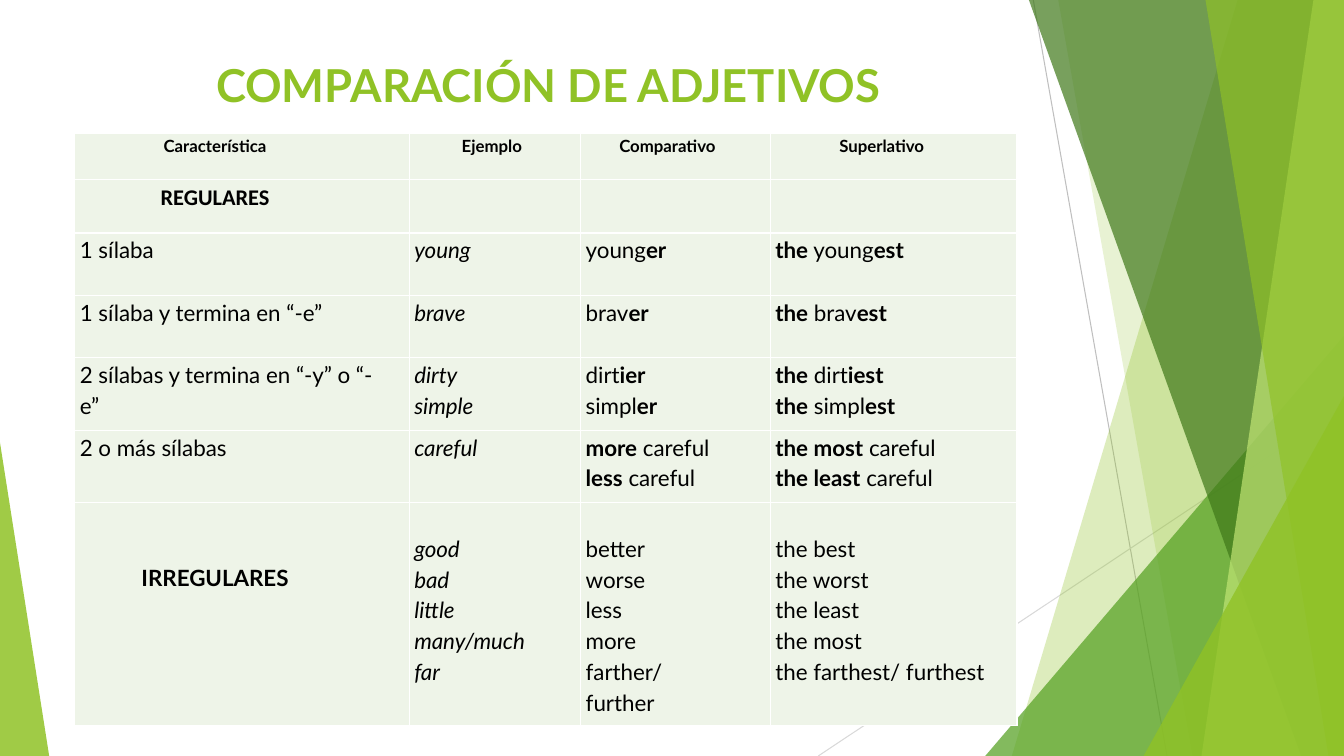
import pptx
import pptx.util
import pptx.dml.color
import pptx.enum.shapes
import pptx.enum.text
import pptx.oxml
import pptx.oxml.ns
from dataclasses import dataclass
from pptx.util import Cm, Pt

TITLE = "COMPARACIÓN DE ADJETIVOS"
# Asterisks enclose bold text; each string in a cell is one paragraph.
ROWS = [
    [["Característica"], ["Ejemplo"], ["Comparativo"], ["Superlativo"]],
    [["REGULARES"], [], [], []],
    [["1 sílaba"], ["young"], ["young*er*"], ["*the* young*est*"]],
    [["1 sílaba y termina en “-e”"], ["brave"], ["brav*er*"], ["*the* brav*est*"]],
    [["2 sílabas y termina en “-y” o “-e”"], ["dirty", "simple"],
     ["dirt*ier*", "simpl*er*"], ["*the* dirt*iest*", "*the* simpl*est*"]],
    [["2 o más sílabas"], ["careful"],
     ["*more* careful", "*less* careful"],
     ["*the most* careful", "*the least* careful"]],
    [["IRREGULARES"], ["good", "bad", "little", "many/much", "far"],
     ["better", "worse", "less", "more", "farther/further"],
     ["the best", "the worst", "the least", "the most", "the farthest/ furthest"]],
]
SECTION_ROWS = (1, 6)
EXAMPLE_COLUMN = 1


@dataclass(frozen=True)
class Theme:
    font: str = "Lato"
    section_font: str = "Calibri"
    green: str = "90C226"
    text: str = "000000"
    cell: str = "EEF4E8"
    border: str = "FFFFFF"
    title_size: float = 32.4
    header_size: int = 12
    body_size: int = 16


THEME = Theme()

# All lengths below are centimetres.
WIDTH, HEIGHT = 33.87, 19.05
TITLE_BOX = (1.88, 1.37, 23.88, 1.5)
TABLE_LEFT, TABLE_TOP = 1.88, 3.35
COLUMN_WIDTHS = (8.43, 4.32, 4.78, 6.22)
ROW_HEIGHTS = (1.18, 1.34, 1.57, 1.57, 1.83, 1.83, 5.61)
CELL_INSET = 0.13
HEADING_RIGHT_GAPS = (1.35, 0.15, 0.4, 0.6)
BODY_RIGHT_GAPS = (0.6, 0, 1.1, 0.4)
IRREGULAR_TOP, IRREGULAR_LABEL_TOP = 0.72, 1.45

THIN_LINES = [((26.04, 0), (29.41, HEIGHT), "BFBFBF"),
              ((WIDTH, 10.24), (20.62, HEIGHT), "D9D9D9")]
# Back to front. Band: top x, bottom x. Triangle: left, width, height, apex.
DECORATION = [
    ("band", (31.19, 25.5), THEME.green, 30),
    ("band", (26.67, 30.05), THEME.green, 20),
    ("triangle", (24.83, 9.04, 10.59, 1), "54A021", 72),
    ("band", (25.93, 32.79), "3F7819", 70),
    ("band", (33.1, 30.28), "C0E474", 70),
    ("band", (30.38, 33.48), THEME.green, 65),
    ("triangle", (28.82, 5.05, 9.07, 1), THEME.green, 80),
    ("triangle", (0, 1.24, 7.9, 0), THEME.green, 85),
]


def rgb(color):
    return pptx.dml.color.RGBColor.from_string(color)


def style_font(font, name, size, color, bold=None):
    font.name, font.size, font.bold = name, Pt(size), bold
    font.color.rgb = rgb(color)


def fill_translucent(shape, color, opacity):
    shape.shadow.inherit = False
    shape.line.fill.background()
    shape.fill.solid()
    shape.fill.fore_color.rgb = rgb(color)
    color_element = shape.fill._xPr.find(".//" + pptx.oxml.ns.qn("a:srgbClr"))
    color_element.append(pptx.oxml.parse_xml(
        f'<a:alpha {pptx.oxml.ns.nsdecls("a")} val="{opacity * 1000}"/>'))


def add_band(page, top_x, bottom_x):
    """Add a full-height band reaching the right edge of the slide."""
    builder = page.shapes.build_freeform(Cm(top_x), 0)
    builder.add_line_segments([(Cm(WIDTH), 0), (Cm(WIDTH), Cm(HEIGHT)),
                               (Cm(bottom_x), Cm(HEIGHT))], close=True)
    return builder.convert_to_shape()


def add_triangle(page, left, width, height, apex):
    """Add a triangle standing on the bottom edge of the slide."""
    triangle = page.shapes.add_shape(
        pptx.enum.shapes.MSO_SHAPE.ISOSCELES_TRIANGLE,
        Cm(left), Cm(HEIGHT - height), Cm(width), Cm(height))
    triangle.adjustments[0] = apex
    return triangle


def add_decoration(page):
    for start, end, color in THIN_LINES:
        line = page.shapes.add_connector(
            pptx.enum.shapes.MSO_CONNECTOR.STRAIGHT,
            *[Cm(value) for value in start + end])
        line.line.color.rgb = rgb(color)
        line.line.width = Pt(0.75)
        line._element.spPr.append(pptx.oxml.parse_xml(
            f'<a:effectLst {pptx.oxml.ns.nsdecls("a")}/>'))
    builders = {"band": add_band, "triangle": add_triangle}
    for kind, geometry, color, opacity in DECORATION:
        fill_translucent(builders[kind](page, *geometry), color, opacity)


def add_title(page):
    title = page.shapes.title
    title.left, title.top, title.width, title.height = map(Cm, TITLE_BOX)
    frame = title.text_frame
    frame.text = TITLE
    frame.vertical_anchor = pptx.enum.text.MSO_ANCHOR.MIDDLE
    frame.margin_top = frame.margin_bottom = 0
    para = frame.paragraphs[0]
    para.alignment = pptx.enum.text.PP_ALIGN.CENTER
    style_font(para.font, THEME.font, THEME.title_size, THEME.green, True)


def style_cell(cell):
    cell.fill.solid()
    cell.fill.fore_color.rgb = rgb(THEME.cell)
    for index, side in enumerate(("lnL", "lnR", "lnT", "lnB")):
        cell._tc.tcPr.insert(index, pptx.oxml.parse_xml(
            f'<a:{side} {pptx.oxml.ns.nsdecls("a")} w="12700"><a:solidFill>'
            f'<a:srgbClr val="{THEME.border}"/></a:solidFill></a:{side}>'))


def write_cell(cell, lines, row, column):
    heading = row == 0 or (row in SECTION_ROWS and column == 0)
    gaps = HEADING_RIGHT_GAPS if heading else BODY_RIGHT_GAPS
    cell.margin_left = Cm(CELL_INSET)
    cell.margin_right = Cm(CELL_INSET + gaps[column])
    cell.margin_top = cell.margin_bottom = 0
    if row == SECTION_ROWS[-1]:
        cell.margin_top = Cm(IRREGULAR_LABEL_TOP if heading else IRREGULAR_TOP)
    size = THEME.header_size if row == 0 else THEME.body_size
    name = THEME.section_font if row == SECTION_ROWS[0] else THEME.font
    for index, line in enumerate(lines):
        frame = cell.text_frame
        para = frame.add_paragraph() if index else frame.paragraphs[0]
        para.line_spacing = 1.15
        if heading:
            para.alignment = pptx.enum.text.PP_ALIGN.CENTER
        style_font(para.font, name, size, THEME.text, heading)
        para.font.italic = column == EXAMPLE_COLUMN and not heading
        for part, text in enumerate(line.split("*")):
            if text:
                span = para.add_run()
                span.text = text
                if part % 2:
                    span.font.bold = True


def add_adjective_table(page):
    table = page.shapes.add_table(
        len(ROWS), len(COLUMN_WIDTHS), Cm(TABLE_LEFT), Cm(TABLE_TOP),
        Cm(sum(COLUMN_WIDTHS)), Cm(sum(ROW_HEIGHTS))).table
    table.first_row = table.horz_banding = False
    for column, width in zip(table.columns, COLUMN_WIDTHS):
        column.width = Cm(width)
    for row, (height, entries) in enumerate(zip(ROW_HEIGHTS, ROWS)):
        table.rows[row].height = Cm(height)
        for column, lines in enumerate(entries):
            cell = table.cell(row, column)
            style_cell(cell)
            write_cell(cell, lines, row, column)


def main():
    deck = pptx.Presentation()
    deck.slide_width, deck.slide_height = Cm(WIDTH), Cm(HEIGHT)
    page = deck.slides.add_slide(deck.slide_layouts.get_by_name("Title Only"))
    add_decoration(page)
    add_title(page)
    add_adjective_table(page)
    deck.save("out.pptx")


if __name__ == "__main__":
    main()
